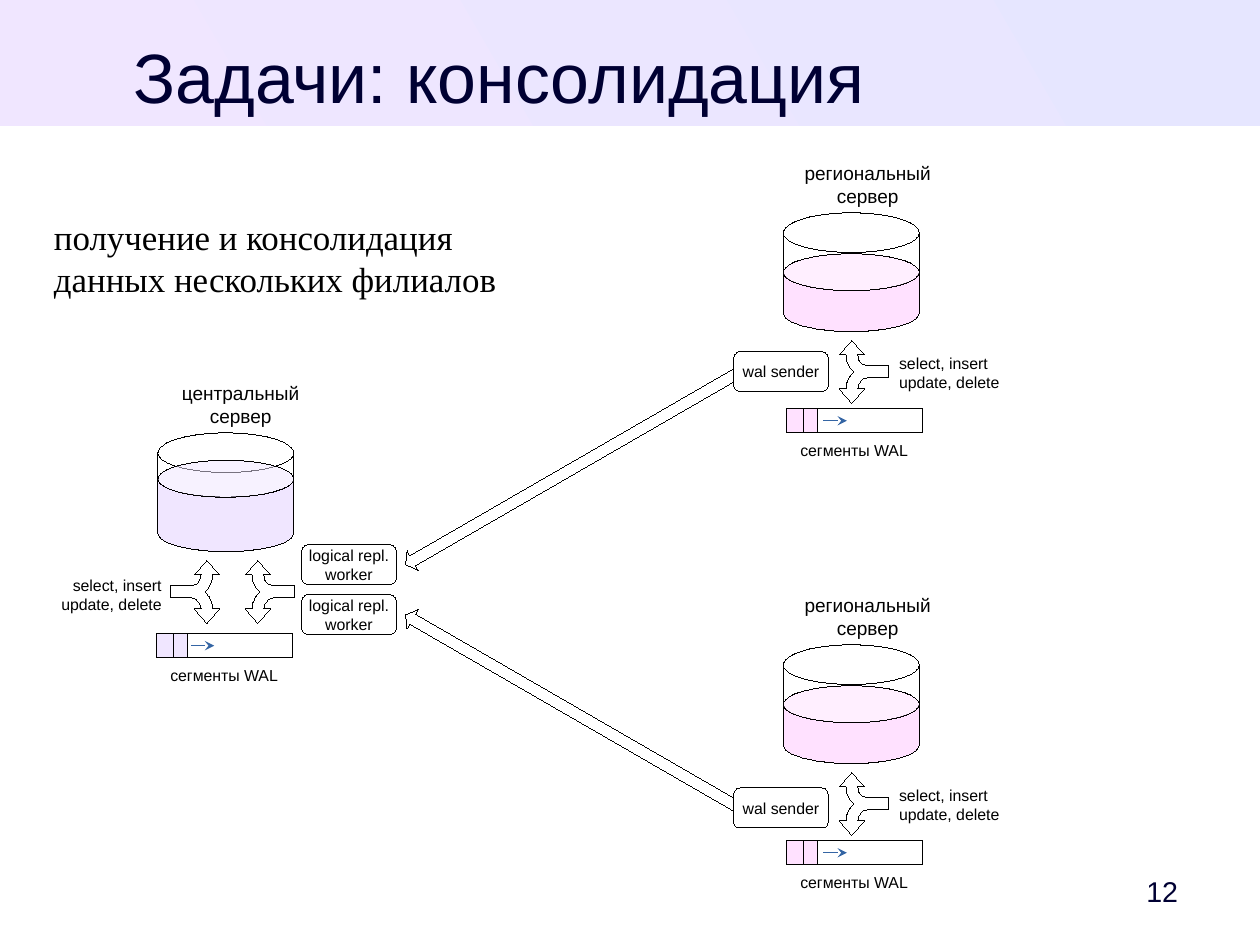
from dataclasses import dataclass
from math import cos, pi, sin
from typing import Any

from lxml import etree
from pptx import Presentation
from pptx import util as u
from pptx.dml import color
from pptx.enum import shapes, text
from pptx.oxml import ns

Point = tuple[float, float]
KIND = shapes.MSO_SHAPE
SIDE = text.PP_ALIGN
FIT = text.MSO_AUTO_SIZE
INK, NAVY, WHITE, BLUE = "000000", "000033", "FFFFFF", "3465A4"
LILAC, PINK = "F0E6FF", "FFE1FF"
WIDE, HIGH, RIM = 3.02, 2.64, 0.41
BENDS, STEPS = 3, 12


@dataclass
class Server:
    name: str
    left: float
    top: float
    hue: str
    level: float
    label: Point
    forks: tuple[tuple[float, int], ...]
    query: Point
    side: Any
    bar: Point
    dart: float


@dataclass
class Node:
    lines: tuple[str, ...]
    left: float
    top: float


@dataclass
class Flow:
    mid: Point
    turn: int


def region(top: float) -> Server:
    return Server("региональный", 17.41, top, PINK, 1.32, (-0.18, 4.11),
                  ((1.52, 1),), (2.32, 3.0), SIDE.LEFT, (0.07, 4.35), 0.82)


SERVERS = [
    Server("центральный", 3.51, 9.62, LILAC, 1.02, (-0.08, 3.84),
           ((1.09, -1), (2.22, 1)), (-2.67, 3.05), SIDE.RIGHT,
           (-0.03, 4.46), 0.76),
    region(4.73),
    region(14.33),
]
SEND, WORK = ("wal sender",), ("logical repl.", "worker")
NODES = [Node(SEND, 16.3, 7.81), Node(SEND, 16.3, 17.51),
         Node(WORK, 6.7, 12.1), Node(WORK, 6.7, 13.21)]
FLOWS = [Flow((12.8, 15.85), 300), Flow((12.8, 10.36), 240)]


def rgb(code: str) -> color.RGBColor:
    return color.RGBColor.from_string(code)


def apply(item: Any, **vals: Any) -> None:
    for key, val in vals.items():
        setattr(item, key, val)


def paint(item: Any, fill: str | None) -> Any:
    item.shadow.inherit = False
    if fill:
        item.fill.solid()
        item.fill.fore_color.rgb = rgb(fill)
    else:
        item.fill.background()
    item.line.color.rgb = rgb(INK)
    item.line.width = u.Pt(0.01)
    return item


def form(slide: Any, kind: Any, box: tuple[float, ...], fill: str | None) -> Any:
    return paint(slide.shapes.add_shape(kind, *map(u.Cm, box)), fill)


def trace(slide: Any, dots: list[Point], fill: str) -> Any:
    pts = [(u.Cm(x), u.Cm(y)) for x, y in dots]
    pen = slide.shapes.build_freeform(*pts[0], scale=1.0)
    pen.add_line_segments(pts[1:], close=True)
    return paint(pen.convert_to_shape(), fill)


def write(frame: Any, lines: tuple[str, ...], size: float = 10, hue: str = INK,
          side: Any = SIDE.CENTER, face: str = "Arial", **vals: Any) -> None:
    apply(frame, **{"word_wrap": False, **vals})
    for num, line in enumerate(lines):
        par = frame.add_paragraph() if num else frame.paragraphs[0]
        par.alignment = side
        run = par.add_run()
        run.text = line
        apply(run.font, size=u.Pt(size), name=face)
        run.font.color.rgb = rgb(hue)


def note(slide: Any, box: tuple[float, ...], lines: tuple[str, ...],
         **vals: Any) -> None:
    item = slide.shapes.add_textbox(*map(u.Cm, box))
    write(item.text_frame, lines, **{"auto_size": FIT.SHAPE_TO_FIT_TEXT, **vals})


def curve(a: Point, b: Point, c: Point, d: Point) -> list[Point]:
    def mix(t: float, i: int) -> float:
        s = 1 - t
        return (s**3 * a[i] + 3 * s * s * t * b[i]
                + 3 * s * t * t * c[i] + t**3 * d[i])
    return [(mix(n / BENDS, 0), mix(n / BENDS, 1)) for n in range(BENDS + 1)]


def fork(slide: Any, x: float, y: float, way: int) -> None:
    half = [(0.82, 0.13),
            *curve((0.36, 0.13), (0.23, 0.13), (0.13, 0.25), (0.13, 0.38)),
            (0.28, 0.38), (0, 0.7), (-0.28, 0.38),
            *curve((-0.13, 0.38), (-0.13, 0.23), (-0.06, 0.1), (0.04, 0))]
    full = half + [(a, -b) for a, b in reversed(half[:-1])]
    trace(slide, [(x + way * a, y + b) for a, b in full], WHITE)


def store(slide: Any, srv: Server) -> None:
    form(slide, KIND.FLOWCHART_MAGNETIC_DISK, (srv.left, srv.top, WIDE, HIGH), WHITE)
    mid, top, low = srv.left + WIDE / 2, srv.top + srv.level, srv.top + HIGH - RIM
    arc = [(mid - WIDE / 2 * cos(n * pi / STEPS), RIM * sin(n * pi / STEPS))
           for n in range(STEPS + 1)]
    body = [(x, low + y) for x, y in arc] + [(x, top + y) for x, y in reversed(arc)]
    trace(slide, body, srv.hue)
    lid = form(slide, KIND.OVAL, (srv.left, top - RIM, WIDE, 2 * RIM), srv.hue)
    tint = lid._element.spPr.find(ns.qn("a:solidFill"))[0]
    etree.SubElement(tint, ns.qn("a:alpha"), val="50000")


def dart(slide: Any, x: float, y: float) -> None:
    item = slide.shapes.add_connector(shapes.MSO_CONNECTOR.STRAIGHT,
                                      *map(u.Cm, (x, y, x + 0.52, y)))
    item.line.color.rgb = rgb(BLUE)
    item.line.width = u.Pt(0.85)
    prop = item._element.spPr
    etree.SubElement(prop.find(ns.qn("a:ln")), ns.qn("a:tailEnd"), type="stealth")
    etree.SubElement(prop, ns.qn("a:effectLst"))


def server(slide: Any, srv: Server) -> None:
    left, top = srv.left, srv.top
    store(slide, srv)
    note(slide, (left + srv.label[0], top - 1.26, srv.label[1], 1.22),
         (srv.name, "сервер"), size=12)
    for shift, way in srv.forks:
        fork(slide, left + shift, top + 3.53, way)
    note(slide, (left + srv.query[0], top + srv.query[1], 3.0, 1.04),
         ("select, insert", "update, delete"), side=srv.side)
    x, y = left + srv.bar[0], top + srv.bar[1]
    for shift, width, fill in ((0, 0.38, srv.hue), (0.38, 0.3, srv.hue), (0, WIDE, None)):
        form(slide, KIND.RECTANGLE, (x + shift, y, width, 0.53), fill)
    dart(slide, x + srv.dart, y + 0.27)
    note(slide, (x + 0.05, y + 0.59, 2.9, 0.66), ("сегменты WAL",))


def head(slide: Any) -> None:
    band = form(slide, KIND.RECTANGLE, (0, 0, 28, 2.8), LILAC)
    band.line.fill.background()
    band.fill.gradient()
    band.fill.gradient_angle = 210
    for stop, hue in zip(band.fill.gradient_stops, ("E6E6FF", LILAC)):
        stop.color.rgb = rgb(hue)
    slide.shapes._spTree.insert(2, band._element)
    title = slide.shapes.title
    apply(title, left=u.Cm(1.2), top=u.Cm(0.74), width=u.Cm(19.8), height=u.Cm(1.75))
    write(title.text_frame, ("Задачи: консолидация",), size=44, hue=NAVY,
          word_wrap=True, auto_size=FIT.SHAPE_TO_FIT_TEXT,
          vertical_anchor=text.MSO_ANCHOR.TOP, margin_left=0, margin_right=0,
          margin_top=0, margin_bottom=0)


def main() -> None:
    deck = Presentation()
    apply(deck, slide_width=u.Cm(28), slide_height=u.Cm(21))
    slide = deck.slides.add_slide(deck.slide_layouts[5])
    head(slide)
    note(slide, (24.61, 19.2, 2.21, 1.19), ("12",), size=18, hue=NAVY,
         side=SIDE.RIGHT, word_wrap=True, margin_right=u.Cm(0.64),
         vertical_anchor=text.MSO_ANCHOR.MIDDLE)
    for flow in FLOWS:
        x, y = flow.mid
        item = form(slide, KIND.UP_ARROW, (x - 0.25, y - 4.37, 0.5, 8.74), WHITE)
        item.rotation = flow.turn
        item.adjustments[0], item.adjustments[1] = 0.51, 0.36
    for srv in SERVERS:
        server(slide, srv)
    for node in NODES:
        item = form(slide, KIND.ROUNDED_RECTANGLE, (node.left, node.top, 2.11, 0.89), WHITE)
        write(item.text_frame, node.lines, vertical_anchor=text.MSO_ANCHOR.MIDDLE)
    note(slide, (1.2, 4.8, 25.6, 14.4),
         ("получение и консолидация", "данных нескольких филиалов"), size=22,
         side=SIDE.LEFT, face="Times New Roman", word_wrap=True,
         auto_size=FIT.NONE, margin_left=0, margin_right=0, margin_top=0,
         margin_bottom=0)
    deck.save("out.pptx")


if __name__ == "__main__":
    main()
